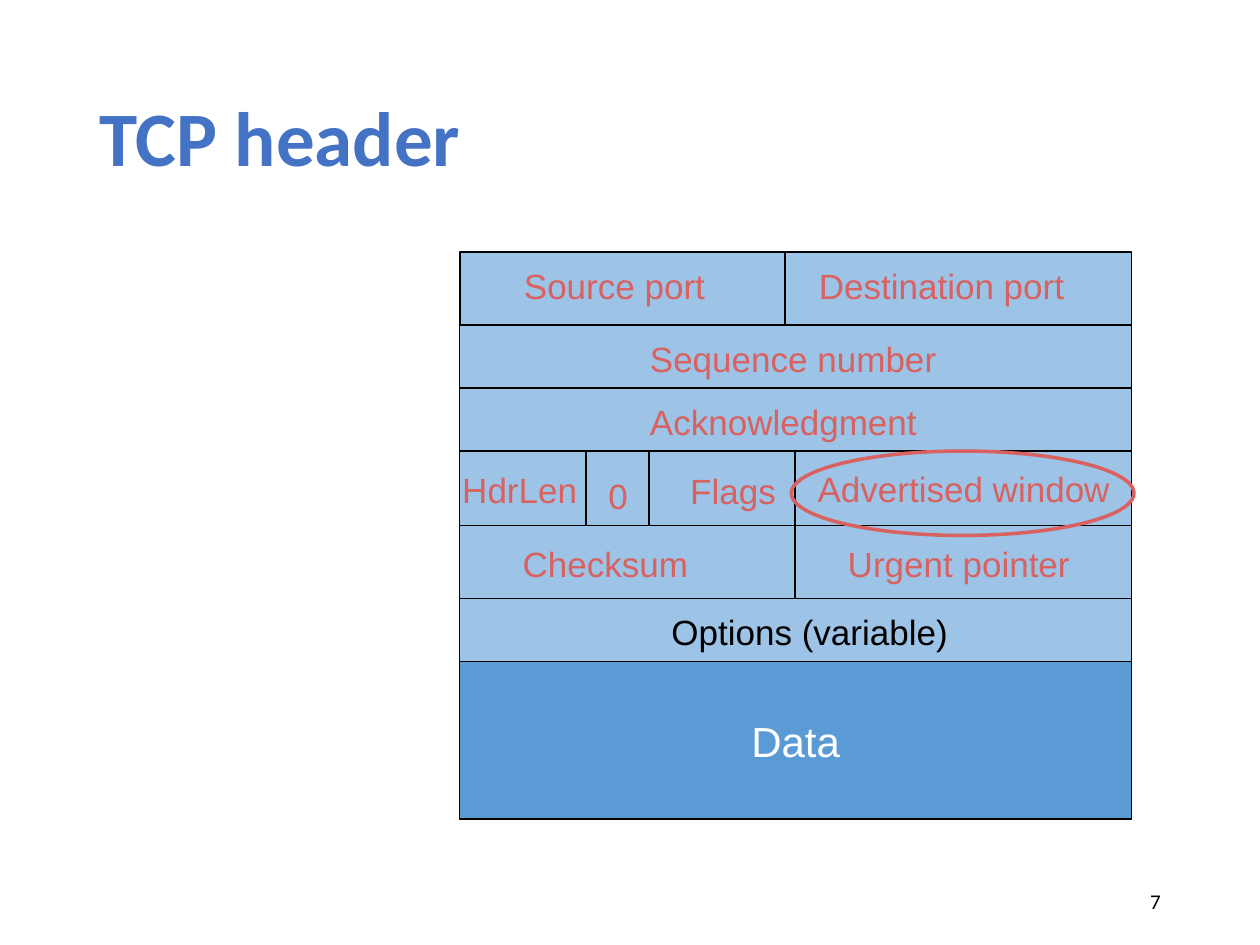
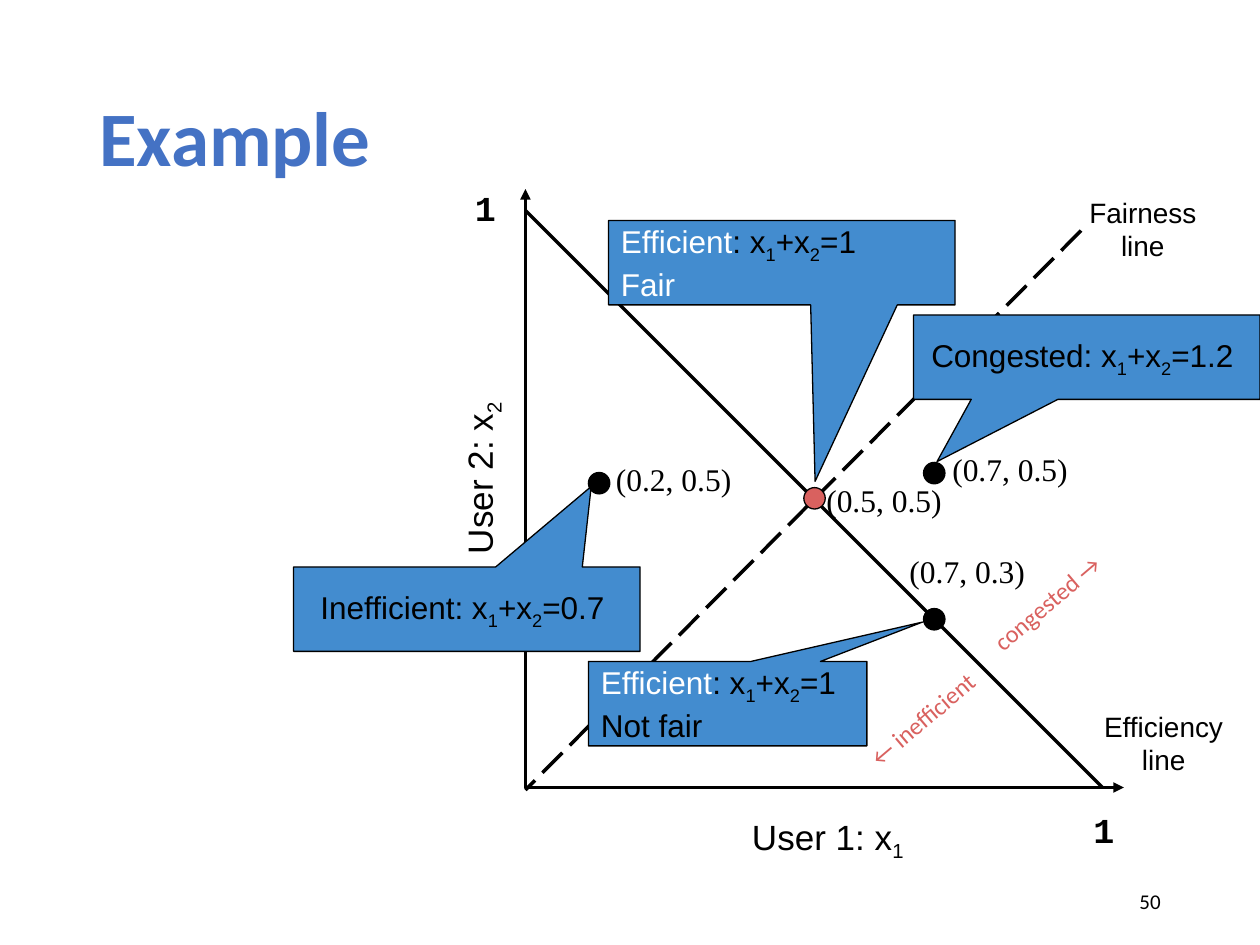
from lxml import etree
from pptx import Presentation
from pptx import util as u
from pptx.dml.color import RGBColor
from pptx.enum import dml, shapes, text
from pptx.oxml import ns

PX = 9144  # 100 px to the inch
rgb = RGBColor.from_string
BLACK, WHITE, RED, BLUE = "000000", "FFFFFF", "D9615F", "4472C4"
PALE, MID, CALL = "9DC3E6", "5B9BD5", "438CCF"
KIND, AL, MIDDLE = shapes.MSO_SHAPE, text.PP_ALIGN, text.MSO_ANCHOR.MIDDLE

# Text looks: font, size, colour and paragraph values
TITLE = dict(name="Calibri", size=44, bold=True, color=BLUE, para=dict(line_spacing=0.9))
NUM = dict(name="Calibri", size=12, para=dict(alignment=AL.RIGHT))
FIELD = dict(name="Arial", size=20, color=RED)
AXIS = dict(name="Arial", size=20, para=dict(alignment=AL.CENTER))
UNIT = dict(name="Courier New", size=20, bold=True)
NOTE = dict(name="Arial", size=16, para=dict(alignment=AL.CENTER))
SIDE = dict(name="Calibri", size=14, color=RED, para=dict(alignment=AL.CENTER))
POINT = dict(name="Times New Roman", size=18)
LEFT = dict(name="Arial", size=18, para=dict(alignment=AL.LEFT))
MIDST = dict(name="Arial", size=18, para=dict(alignment=AL.CENTER))
FIXED = dict(word_wrap=True, vertical_anchor=MIDDLE)
FREE = dict(word_wrap=False, auto_size=text.MSO_AUTO_SIZE.SHAPE_TO_FIT_TEXT)
ROOMY = dict(word_wrap=True, vertical_anchor=text.MSO_ANCHOR.TOP)


def draw(page, box, words="", look=None, frame=FREE, kind=None, fill=None, edge=BLACK, wide=0.75):
    """Add a box. "_" lowers the next letter; text ahead of "|" is white."""
    spot = [v * PX for v in box]
    if kind is None:
        item = page.shapes.add_textbox(*spot)
    else:
        item = page.shapes.add_shape(kind, *spot)
        item.shadow.inherit = False
        item.line.color.rgb = rgb(edge)
        item.line.width = u.Pt(wide)
        if fill:
            item.fill.solid()
            item.fill.fore_color.rgb = rgb(fill)
        else:
            item.fill.background()
    if not words:
        return item
    body = item.text_frame
    for key, val in frame.items():
        setattr(body, key, val)
    for i, line in enumerate(words.split("\n")):
        para = body.add_paragraph() if i else body.paragraphs[0]
        for key, val in look.get("para", {}).items():
            setattr(para, key, val)
        light, _, dark = line.rpartition("|")
        first, *rest = dark.split("_")
        runs = [(light, WHITE, False), (first, None, False)]
        for bit in rest:
            runs += [(bit[0], None, True), (bit[1:], None, False)]
        for part, tint, low in runs:
            if part:
                run = para.add_run()
                run.text = part
                font = dict(name=look["name"], size=u.Pt(look["size"]), bold=look.get("bold", False))
                for key, val in font.items():
                    setattr(run.font, key, val)
                run.font.color.rgb = rgb(tint or look.get("color", BLACK))
                if low:
                    run._r.get_or_add_rPr().set("baseline", "-25000")
    return item


def rule(page, ends, wide, dash=None, arrow=False):
    """Add a straight black line, with an arrowhead at its end if asked."""
    link = page.shapes.add_connector(shapes.MSO_CONNECTOR.STRAIGHT, *[v * PX for v in ends])
    link.line.color.rgb = rgb(BLACK)
    link.line.width = u.Pt(wide)
    if dash:
        link.line.dash_style = dash
    props = link._element.spPr
    if arrow:
        etree.SubElement(props.find(ns.qn("a:ln")), ns.qn("a:tailEnd"), type="triangle")
    etree.SubElement(props, ns.qn("a:effectLst"))


deck = Presentation()
deck.slide_width, deck.slide_height = 1000 * PX, 750 * PX

# Shared title and slide number
pages = []
for name, num in (("TCP header", "7"), ("Example", "50")):
    page = deck.slides.add_slide(deck.slide_layouts[6])
    draw(page, (69, 40, 862, 145), name, TITLE, FIXED)
    draw(page, (706, 695, 225, 40), num, NUM, FIXED)
    pages.append(page)
head, plot = pages

# Header rows: height and the edges of the cells
top = 200
rows = [(58, (365, 623, 898)), (50, (365, 898)), (50, (365, 898)),
        (59, (365, 631, 898)), (58, (365, 631, 898)), (50, (365, 898))]
for high, cuts in rows:
    for x, end in zip(cuts, cuts[1:]):
        draw(head, (x, top, end - x, high), kind=KIND.RECTANGLE, fill=PALE)
    top += high
draw(head, (365, top, 533, 125), "Data",
     dict(name="Arial", size=24, color=WHITE, para=dict(alignment=AL.CENTER)),
     dict(word_wrap=False, vertical_anchor=MIDDLE), KIND.RECTANGLE, MID)
for x in (465, 515):
    rule(head, (x, 358, x, 417), 0.75)

# Field names, in boxes with room to stay on one line
for x, y, wide, name in [
        (406, 205, 180, "Source port"), (640, 205, 235, "Destination port"),
        (506, 263, 270, "Sequence number"), (506, 313, 260, "Acknowledgment"),
        (357, 367, 125, "HdrLen"), (473, 372, 45, "0"), (538, 368, 100, "Flags"),
        (639, 366, 270, "Advertised window"),
        (405, 426, 180, "Checksum"), (663, 426, 220, "Urgent pointer")]:
    draw(head, (x, y, wide, 43), name, FIELD, ROOMY)
draw(head, (523, 480, 265, 43), "Options (variable)", dict(FIELD, color=BLACK), ROOMY)
draw(head, (628, 358, 272, 67), kind=KIND.OVAL, edge=RED, wide=2)

# Axes, fairness line and efficiency line
rule(plot, (417, 625, 417, 150), 2, arrow=True)
rule(plot, (417, 625, 892, 625), 2, arrow=True)
rule(plot, (858, 183, 417, 627), 2, dash=dml.MSO_LINE.LONG_DASH)
rule(plot, (417, 167, 875, 625), 2)

# Labels of axes and lines
for box, words, look, turn in [
        ((586, 642, 142, 43), "User 1: x_1", AXIS, 0),
        ((309, 358, 142, 43), "User 2: x_2", AXIS, 270),
        ((854, 150, 106, 64), "Fairness\nline", NOTE, 0),
        ((866, 558, 115, 64), "Efficiency\nline", NOTE, 0),
        ((858, 637, 34, 40), "1", UNIT, 0),
        ((367, 143, 34, 40), "1", UNIT, 0),
        ((768, 462, 125, 33), "congested →", SIDE, 319.6),
        ((668, 554, 128, 33), "← inefficient", SIDE, 319.6)]:
    draw(plot, box, words, look).rotation = turn

# Points, each with a callout and its coordinates
for box, tip, words, look, dot, tint, spot, pair in [
        ((233, 450, 275, 67), (0.359, -1.453), "Inefficient: x_1+x_2=0.7 ", MIDST,
         (467, 375), BLACK, (479, 360), "(0.2, 0.5)"),
        ((725, 250, 275, 67), (-0.432, 1.237), "Congested: x_1+x_2=1.2 ", MIDST,
         (733, 367), BLACK, (746, 352), "(0.7, 0.5)"),
        ((483, 175, 275, 67), (0.096, 2.591), "Efficient|: x_1+x_2=1\nFair|", LEFT,
         (638, 387), RED, (646, 377), "(0.5, 0.5)"),
        ((467, 525, 221, 67), (0.7, -0.967), "Efficient|: x_1+x_2=1\nNot fair", LEFT,
         (733, 483), BLACK, (712, 433), "(0.7, 0.3)")]:
    call = draw(plot, box, words, look, FIXED, KIND.RECTANGULAR_CALLOUT, CALL)
    for i, val in enumerate(tip):
        call.adjustments[i] = val
    draw(plot, (*dot, 17, 17), kind=KIND.OVAL, fill=tint)
    draw(plot, (*spot, 113, 40), pair, POINT)

deck.save("out.pptx")
